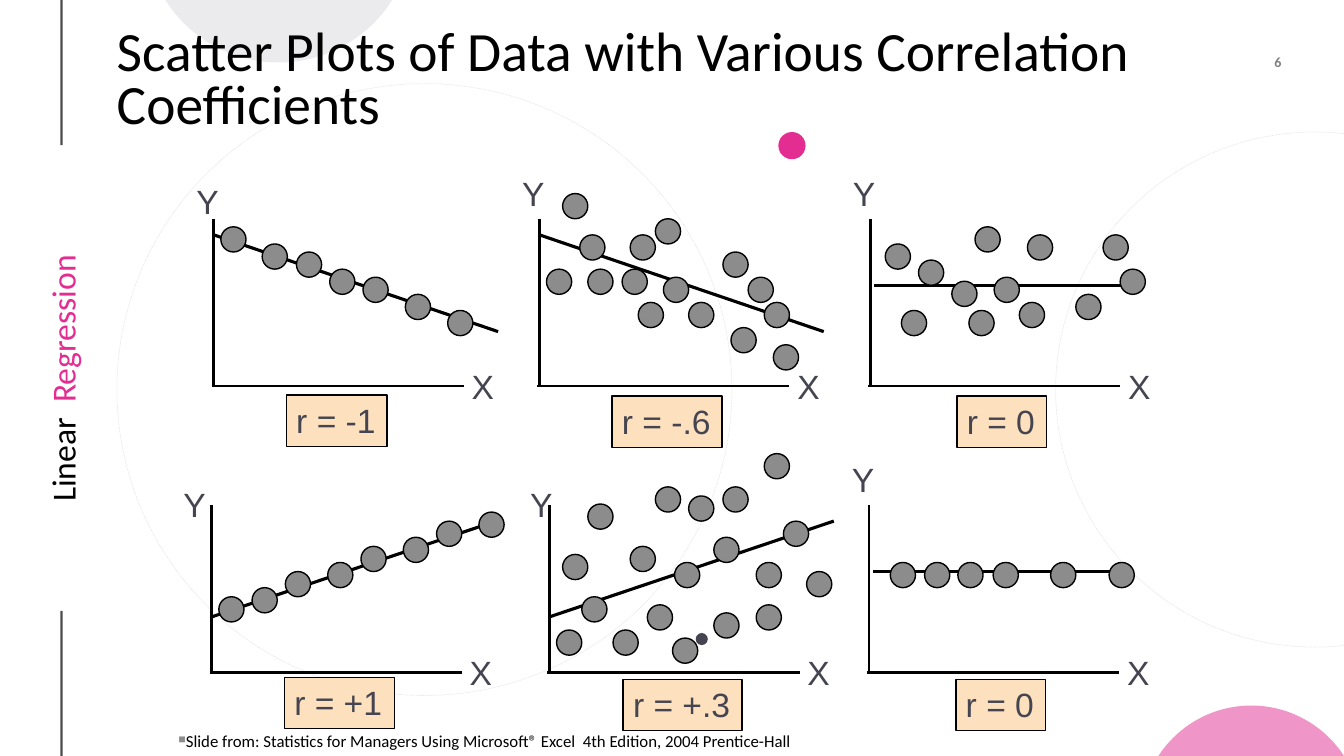
import math
from lxml import etree
from pptx import Presentation, util as u
from pptx.dml import color as dml_color
from pptx.enum import dml, shapes, text
from pptx.oxml import ns

Inches, Pt = u.Inches, u.Pt
COLORS = {"black": "000000", "pink": "E32D91", "slate": "454551", "dot": "8C8C8C",
          "mist": "D8D9DC", "peach": "FDE0BD"}

deck = Presentation()
deck.slide_width, deck.slide_height = Inches(13.33), Inches(7.5)
page = deck.slides.add_slide(deck.slide_layouts[6])
OVAL, RECT = shapes.MSO_SHAPE.OVAL, shapes.MSO_SHAPE.RECTANGLE
LINE = shapes.MSO_CONNECTOR.STRAIGHT


def paint(item, fill=None, line=None, width=1, opacity=100):
    """Set fill and outline; connectors take only the outline."""
    if hasattr(item, "fill"):
        item.shadow.inherit = False
        if fill:
            item.fill.solid()
            item.fill.fore_color.rgb = dml_color.RGBColor.from_string(COLORS[fill])
        else:
            item.fill.background()
    else:
        etree.SubElement(item._element.spPr, ns.qn("a:effectLst"))
    if line:
        item.line.width = Pt(width)
        item.line.color.rgb = dml_color.RGBColor.from_string(COLORS[line])
    else:
        item.line.fill.background()
    if opacity < 100:
        for tint in item._element.spPr.iter(ns.qn("a:srgbClr")):
            etree.SubElement(tint, ns.qn("a:alpha"), val=str(opacity * 1000))


def write(content, at=None, box=None, font="Arial", size=24, color="slate", bold=False,
          align="LEFT", anchor="TOP", inset=None, wrap=False, spacing=None,
          bullet=None, opacity=100):
    """Put text in a new or given box; content is a string or (text, color) pairs."""
    box = box or page.shapes.add_textbox(*map(Inches, at))
    frame = box.text_frame
    frame.word_wrap = wrap
    frame.auto_size = text.MSO_AUTO_SIZE.NONE if wrap else text.MSO_AUTO_SIZE.SHAPE_TO_FIT_TEXT
    frame.vertical_anchor = text.MSO_ANCHOR[anchor]
    if inset is not None:
        frame.margin_left = frame.margin_right = Inches(inset)
        frame.margin_top = frame.margin_bottom = Inches(inset)
    para = frame.paragraphs[0]
    para.alignment = text.PP_ALIGN[align]
    if spacing:
        para.line_spacing = spacing
    if bullet:
        props = para._p.get_or_add_pPr()
        tint = etree.SubElement(props, ns.qn("a:buClr"))
        etree.SubElement(tint, ns.qn("a:srgbClr"), val=COLORS["dot"])
        etree.SubElement(props, ns.qn("a:buSzPct"), val="60000")
        etree.SubElement(props, ns.qn("a:buChar"), char=bullet)
    for words, tone in [(content, color)] if isinstance(content, str) else content:
        span = para.add_run()
        span.text = words
        span.font.name, span.font.size, span.font.bold = font, Pt(size), bold
        span.font.color.rgb = dml_color.RGBColor.from_string(COLORS[tone])
        if opacity < 100:
            for solid in span._r.iter(ns.qn("a:srgbClr")):
                etree.SubElement(solid, ns.qn("a:alpha"), val=str(opacity * 1000))
    return box


# Side rail and page number
for top, bottom in [(6.06, 7.5), (0, 1.44)]:
    rail = page.shapes.add_connector(LINE, *map(Inches, (0.61, top, 0.61, bottom)))
    paint(rail, line="black", width=1.5, opacity=70)
section = write([("Linear ", "black"), (" Regression", "pink")], at=(-1.69, 3.53, 4.61, 0.45),
                font="Calibri", align="CENTER", anchor="MIDDLE", inset=0.02, wrap=True)
section.rotation = 270
write("6", at=(11.94, 0.48, 0.77, 0.27), font="Calibri", size=10, color="black", bold=True,
      align="RIGHT", anchor="MIDDLE", inset=0, wrap=True, opacity=50)

# Background circles
for at in [(10.47, 1.31, 5.14, 5.11), (1.16, 0.83, 6.1, 6.07)]:
    ring = page.shapes.add_shape(OVAL, *map(Inches, at))
    paint(ring, line="black", width=0.5, opacity=10)
    ring.line.dash_style = dml.MSO_LINE.ROUND_DOT
for left, top, size, fill in [(6.9, 6.28, 0.12, "slate"), (7.72, 1.31, 0.27, "pink")]:
    accent = page.shapes.add_shape(OVAL, *map(Inches, (left, top, size, size)))
    paint(accent, fill=fill)

# Circle segments cut off by the slide edge: center x, edge y, half chord, height, direction
for center, edge, half, height, way, fill in [(12.41, 7.5, 0.92, 0.5, -1, "pink"),
                                              (2.765, 0, 1.125, 0.62, 1, "mist")]:
    radius = (half ** 2 + height ** 2) / (2 * height)
    sweep = math.asin(half / radius)
    arc = []
    for step in range(-24, 25):
        angle = sweep * step / 24
        arc.append((Inches(center + radius * math.sin(angle)),
                    Inches(edge + way * (radius * math.cos(angle) - radius + height))))
    outline = page.shapes.build_freeform(*arc[0])
    outline.add_line_segments(arc[1:], close=True)
    paint(outline.convert_to_shape(), fill=fill, opacity=50)

# Title
write("Scatter Plots of Data with Various Correlation Coefficients", at=(1.06, 0.19, 11.2, 1.25),
      font="Calibri", size=39.6, color="black", anchor="MIDDLE", wrap=True, spacing=0.8)

# Plots: axis x, baseline, trend (start and end offsets from the axis foot),
# Y label corner, r box (text, left, top, width), top left corners of the dots
FALL, RISE = (0, -1.5, 2.82, -0.54), (0, -0.55, 2.82, -1.5)
FLAT = (0.04, -1, 2.54, -1)
plots = [
    (2.12, 3.83, FALL, (1.85, 1.75), ("r = -1", 2.84, 3.92, 1),
     [(2.19, 2.25), (2.6, 2.42), (2.94, 2.5), (3.27, 2.67), (3.6, 2.75), (4.02, 2.92),
      (4.44, 3.08)]),
    (5.35, 3.83, FALL, (5.08, 1.67), ("r = -.6", 6.07, 3.93, 1.09),
     [(5.42, 2.67), (5.58, 1.92), (5.75, 2.33), (5.83, 2.67), (6.17, 2.67), (6.25, 2.33),
      (6.33, 3), (6.5, 2.17), (6.58, 2.75), (6.83, 3), (7.17, 2.5), (7.25, 3.25),
      (7.42, 2.75), (7.58, 3), (7.67, 3.42)]),
    (8.63, 3.83, FLAT, (8.36, 1.67), ("r = 0", 9.49, 3.93, 0.89),
     [(8.78, 2.42), (8.94, 3.08), (9.11, 2.58), (9.44, 2.79), (9.61, 3.08), (9.67, 2.25),
      (9.86, 2.75), (10.11, 3), (10.19, 2.33), (10.67, 2.92), (10.94, 2.33), (11.11, 2.67)]),
    (2.1, 6.67, RISE, (1.72, 4.75), ("r = +1", 2.82, 6.72, 1.09),
     [(2.17, 5.92), (2.5, 5.83), (2.83, 5.67), (3.25, 5.58), (3.58, 5.42), (4, 5.33),
      (4.33, 5.17), (4.75, 5.08)]),
    (5.45, 6.67, RISE, (5.16, 4.75), ("r = +.3", 6.18, 6.74, 1.18),
     [(5.52, 6.25), (5.58, 5.5), (5.77, 5.92), (5.83, 5), (6.08, 6.25), (6.25, 5.42),
      (6.42, 6), (6.5, 4.83), (6.67, 6.33), (6.69, 5.58), (6.83, 4.92), (7.08, 5.33),
      (7.08, 6.08), (7.17, 4.83), (7.5, 5.58), (7.5, 6), (7.58, 4.5), (7.77, 5.17),
      (8, 5.67)]),
    (8.62, 6.67, FLAT, (8.35, 4.5), ("r = 0", 9.48, 6.74, 0.89),
     [(8.83, 5.58), (9.17, 5.58), (9.5, 5.58), (9.85, 5.58), (10.42, 5.58), (11, 5.58)]),
]
for axis, base, trend, corner, (label, left, top, width), dots in plots:
    x1, y1, x2, y2 = trend
    trend_width = 2 if trend == FLAT else 2.25
    for ends, weight in [((axis, base - 1.66, axis, base), 2),
                         ((axis - 0.02, base, axis + 2.48, base), 2),
                         ((axis + x1, base + y1, axis + x2, base + y2), trend_width)]:
        stroke = page.shapes.add_connector(LINE, *map(Inches, ends))
        paint(stroke, line="black", width=weight)
    for spot in dots:
        dot = page.shapes.add_shape(OVAL, *map(Inches, (*spot, 0.25, 0.25)))
        paint(dot, fill="dot", line="black")
    write("Y", at=(*corner, 0.42, 0.5))
    write("X", at=(axis + 2.46, base - 0.25, 0.42, 0.5))
    tag = page.shapes.add_shape(RECT, *map(Inches, (left, top, width, 0.51)))
    paint(tag, fill="peach", line="black")
    write(label, box=tag)

# Source line
write("Slide from: Statistics for Managers Using Microsoft® Excel  4th Edition, 2004 Prentice-Hall",
      at=(1.67, 7.2, 6.48, 0.3), font="Calibri", size=12, color="black", bullet="■")

deck.save("out.pptx")
